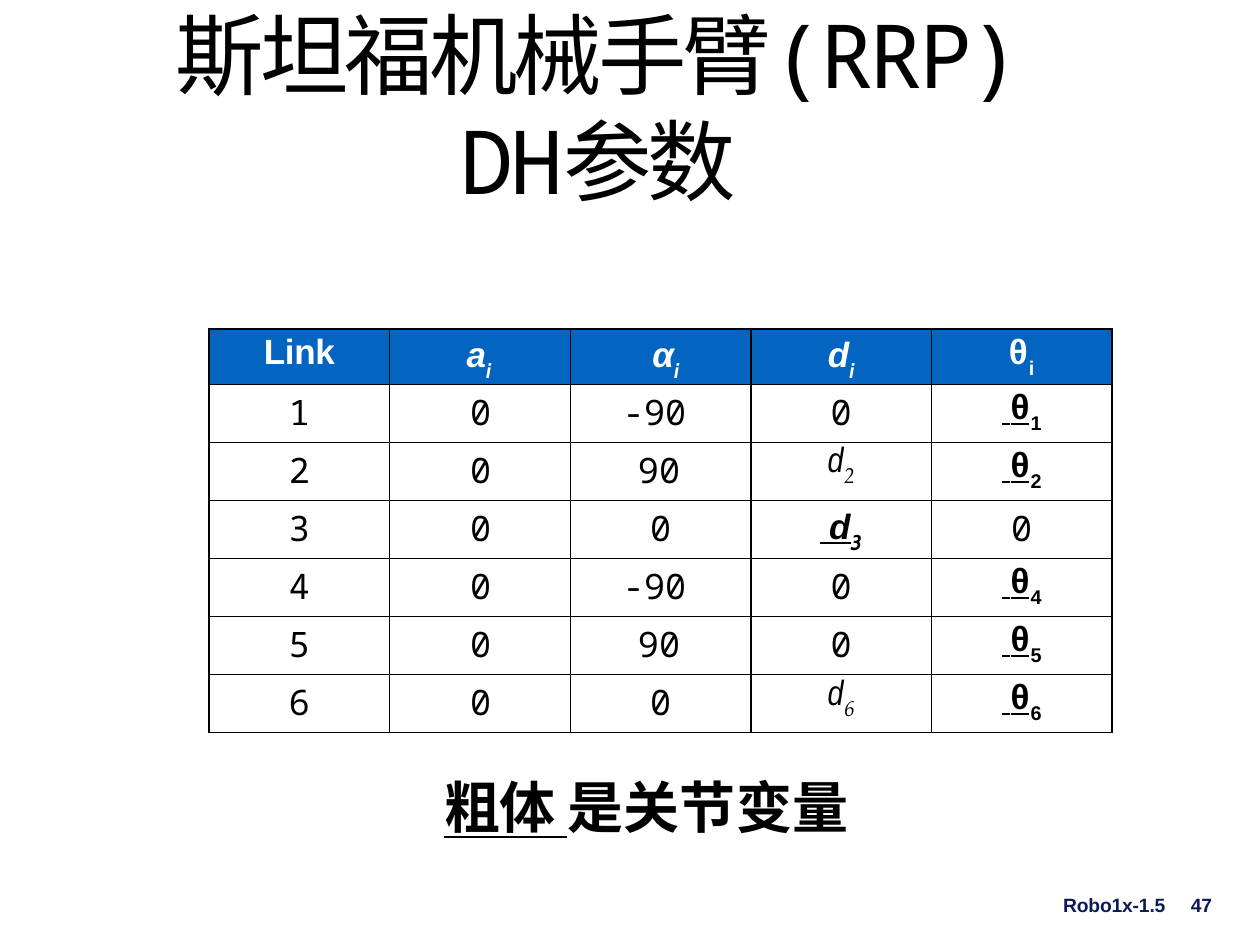
from dataclasses import dataclass

from pptx import Presentation
from pptx.dml.color import RGBColor
from pptx.enum import text
from pptx.oxml import xmlchemy
from pptx.oxml.ns import qn
from pptx.util import Pt

BLACK = RGBColor(0x00, 0x00, 0x00)
WHITE = RGBColor(0xFF, 0xFF, 0xFF)
BLUE = RGBColor(0x03, 0x65, 0xC0)
NAVY = RGBColor(0x0A, 0x1B, 0x55)

LEFT, CENTER, RIGHT = text.PP_ALIGN.LEFT, text.PP_ALIGN.CENTER, text.PP_ALIGN.RIGHT


@dataclass
class Style:
    size: float
    font: str
    color: RGBColor = BLACK
    bold: bool = False
    italic: bool = False
    underline: bool = False
    spacing: float = 0
    baseline: int = 0


TITLE = Style(50.5, "Noto Sans Mono", spacing=-2.2)
FOOTER = Style(11, "Arial", NAVY, bold=True, spacing=-0.1)
NOTE_TERM = Style(32, "Arial", bold=True, underline=True, spacing=-0.6)
NOTE = Style(32, "Arial", bold=True, spacing=0.2)

HEAD = Style(20, "Arial", WHITE, bold=True, spacing=-0.2)
HEAD_SYMBOL = Style(20, "Arial", WHITE, bold=True, italic=True, spacing=-0.3)
HEAD_INDEX = Style(21, "Cabin", WHITE, bold=True, italic=True, spacing=-0.4, baseline=-30)
HEAD_THETA = Style(20, "Arial", WHITE, bold=True, spacing=0.6)
HEAD_THETA_INDEX = Style(19.5, "Arial", WHITE, bold=True, spacing=0.9, baseline=-32)

NUMBER = Style(20, "Noto Sans Mono")
OFFSET = Style(20, "Arial Narrow", italic=True, spacing=0.3)
OFFSET_INDEX = Style(21, "TeX Gyre Pagella", italic=True, spacing=0.5, baseline=-30)
LEAD = Style(20, "Times New Roman", underline=True, spacing=-5)
THETA = Style(20, "Arial", bold=True, underline=True, spacing=0.7)
THETA_INDEX = Style(19.5, "Arial", bold=True, spacing=1, baseline=-32)
JOINT_LEAD = Style(20, "Times New Roman", italic=True, underline=True, spacing=-5)
JOINT = Style(20, "Arial", bold=True, italic=True, underline=True, spacing=-0.3)
JOINT_INDEX = Style(21, "Cabin", bold=True, italic=True, spacing=-0.5, baseline=-30)


def add_run(paragraph, words, style):
    run = paragraph.add_run()
    run.text = words
    font = run.font
    font.size, font.name = Pt(style.size), style.font
    font.bold, font.italic, font.underline = style.bold, style.italic, style.underline
    font.color.rgb = style.color
    properties = run.font._element
    properties.set("spc", str(round(style.spacing * 100)))
    if style.baseline:
        properties.set("baseline", str(style.baseline * 1000))


def add_text(slide, box, lines, align=LEFT, margin_top=0):
    """Each line is a list of (words, style) runs."""
    shape = slide.shapes.add_textbox(*map(Pt, box))
    frame = shape.text_frame
    frame.word_wrap = True
    frame.margin_left = frame.margin_right = frame.margin_bottom = 0
    frame.margin_top = Pt(margin_top)
    paragraph = frame.paragraphs[0]
    paragraph.alignment = align
    for index, runs in enumerate(lines):
        if index:
            paragraph.add_line_break()
        for words, style in runs:
            add_run(paragraph, words, style)


def theta(link):
    return [(" ", LEAD), ("θ", THETA), (link, THETA_INDEX)]


def offset(link):
    return [("d", OFFSET), (link, OFFSET_INDEX)]


def joint_offset(link):
    return [(" ", JOINT_LEAD), ("d", JOINT), (link, JOINT_INDEX)]


def number(value):
    return [(value, NUMBER)]


def set_borders(cell, width=1, color=BLACK):
    properties = cell._tc.get_or_add_tcPr()
    for index, side in enumerate(("a:lnL", "a:lnR", "a:lnT", "a:lnB")):
        line = xmlchemy.OxmlElement(side)
        line.set("w", str(Pt(width)))
        fill = xmlchemy.OxmlElement("a:solidFill")
        fill.append(xmlchemy.OxmlElement("a:srgbClr"))
        fill.find(qn("a:srgbClr")).set("val", str(color))
        line.append(fill)
        properties.insert(index, line)


def fill_cell(cell, runs, align=CENTER, left=0, right=0):
    cell.margin_left, cell.margin_right = Pt(left), Pt(right)
    cell.margin_top, cell.margin_bottom = Pt(2), 0
    paragraph = cell.text_frame.paragraphs[0]
    paragraph.alignment = align
    for words, style in runs:
        add_run(paragraph, words, style)
    set_borders(cell)


def add_parameters(slide, box):
    header = [
        [("Link", HEAD)],
        [("a", HEAD_SYMBOL), ("i", HEAD_INDEX)],
        [("α", HEAD_SYMBOL), ("i", HEAD_INDEX)],
        [("d", HEAD_SYMBOL), ("i", HEAD_INDEX)],
        [("θ", HEAD_THETA), ("i", HEAD_THETA_INDEX)],
    ]
    # Twist, offset and angle of each link; every length a is 0
    links = [
        ("-90", number("0"), theta("1")),
        ("90", offset("2"), theta("2")),
        ("0", joint_offset("3"), number("0")),
        ("-90", number("0"), theta("4")),
        ("90", number("0"), theta("5")),
        ("0", offset("6"), theta("6")),
    ]
    rows = [header] + [
        [number(str(link)), number("0"), number(twist), distance, angle]
        for link, (twist, distance, angle) in enumerate(links, 1)
    ]
    twist_margins = {"α": 41, "90": 40.5, "-90": 37}

    table = slide.shapes.add_table(len(rows), len(header), *map(Pt, box)).table
    for column in table.columns:
        column.width = Pt(box[2] / len(header))
    header_height = 31
    for index, row in enumerate(table.rows):
        row.height = Pt((box[3] - header_height) / len(links) if index else header_height)

    for row_index, row in enumerate(rows):
        for column_index, runs in enumerate(row):
            cell = table.cell(row_index, column_index)
            if row_index:
                cell.fill.background()
            else:
                cell.fill.solid()
                cell.fill.fore_color.rgb = BLUE
            first_words = runs[0][0]
            if column_index == 1:
                fill_cell(cell, runs, LEFT, left=46 if row_index else 44)
            elif column_index == 2 and first_words in twist_margins:
                fill_cell(cell, runs, RIGHT, right=twist_margins[first_words])
            else:
                fill_cell(cell, runs)


def add_footer(slide, box):
    left, top, width, height = box
    add_text(slide, (left, top, 62, height), [[("Robo1x-1.5", FOOTER)]], margin_top=2)
    add_text(slide, (left + width - 16, top, 18, height), [[("47", FOOTER)]], margin_top=2)


def main():
    presentation = Presentation()
    presentation.slide_width, presentation.slide_height = Pt(720), Pt(540)
    slide = presentation.slides.add_slide(presentation.slide_layouts[6])

    # Title
    add_text(slide, (60, 0, 564, 122),
             [[("斯坦福机械手臂(RRP)", TITLE)], [("DH参数", TITLE)]], CENTER)
    # Table of link parameters
    add_parameters(slide, (119.5, 188, 516, 230))
    # Note on the joint variables
    add_text(slide, (254, 441.5, 382, 39), [[("粗体 ", NOTE_TERM), ("是关节变量", NOTE)]])
    # Course code and page number
    add_footer(slide, (607.5, 508.5, 89, 17))

    presentation.save("out.pptx")


if __name__ == "__main__":
    main()
